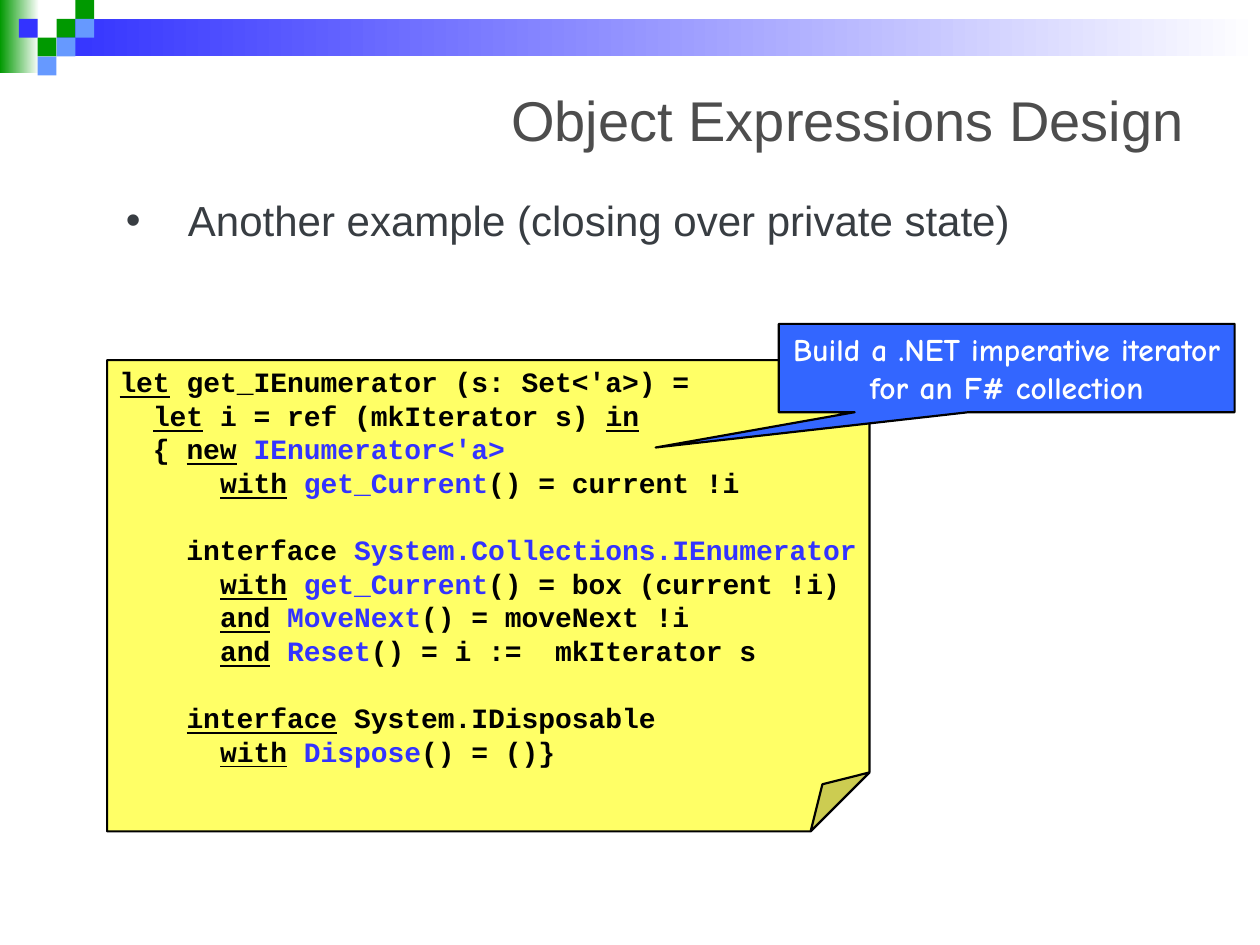
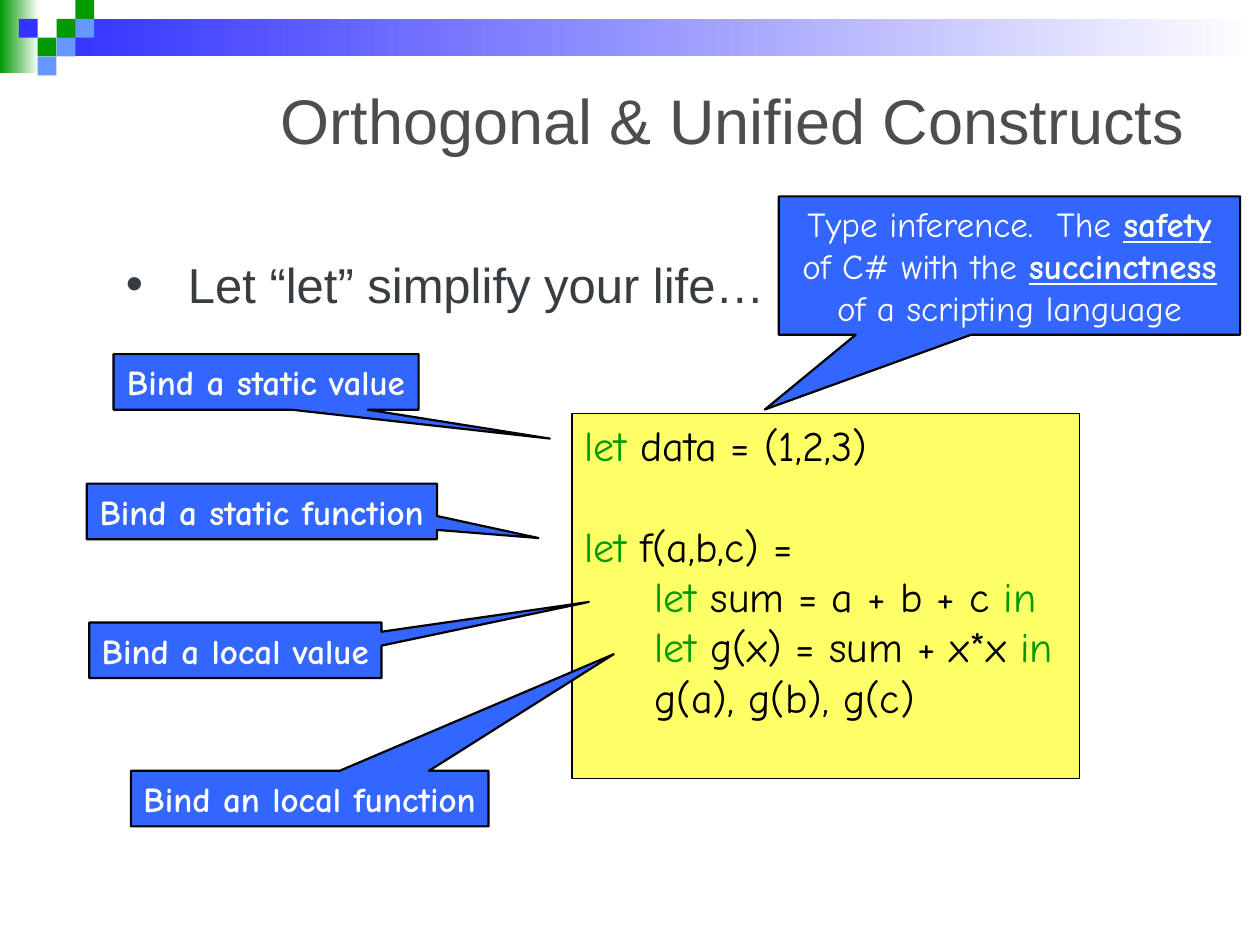
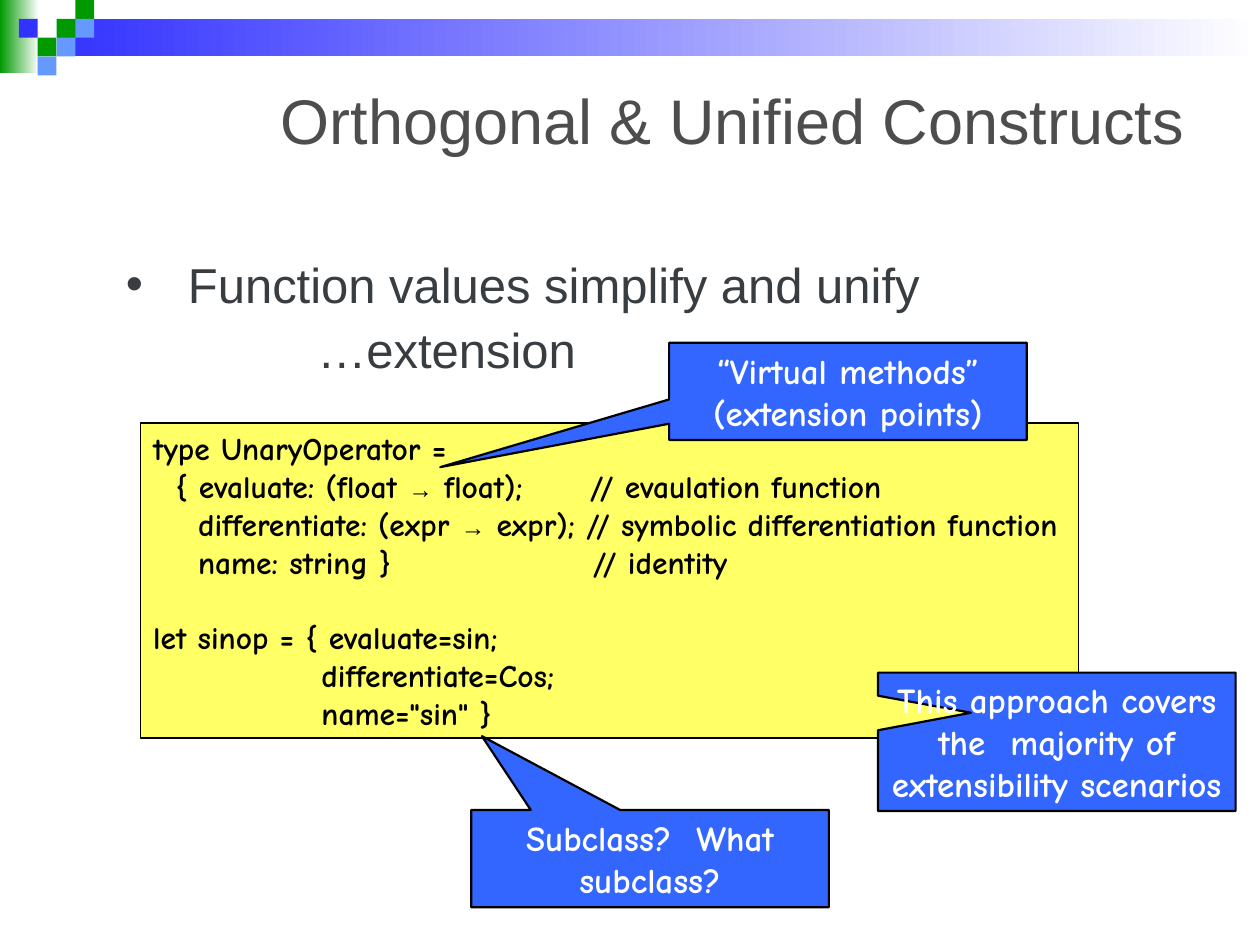
from dataclasses import dataclass

from lxml.etree import SubElement
from pptx import Presentation
from pptx.dml.color import RGBColor
from pptx.enum.shapes import MSO_SHAPE
from pptx.enum.text import MSO_ANCHOR, MSO_AUTO_SIZE, PP_ALIGN
from pptx.oxml.ns import qn
from pptx.util import Cm, Pt


@dataclass(frozen=True)
class Theme:
    title: str = "4D4D4D"
    body: str = "383D42"
    ink: str = "000000"
    white: str = "FFFFFF"
    green: str = "009900"
    blue: str = "3333FF"
    sky: str = "6699FF"
    call: str = "3366FF"
    note: str = "FFFF66"
    sans: str = "Arial"
    hand: str = "Comic Neue"
    mono: str = "Courier New"
    pitch: float = 1.2   # line height over type size
    edge: float = 1.25
    thin: float = 0.75


T = Theme()

# Band: bars are (box, colour), tiles are (column, row, colour)
TILE = 0.38
BARS = [((0, 0, 0.79, 1.47), T.green), ((1.14, 0.38, 24.26, 0.76), T.blue)]
TILES = [(3, 1, T.green), (4, 0, T.green), (4, 1, T.sky), (2, 2, T.green),
         (1, 1, T.blue), (3, 2, T.sky), (2, 3, T.sky)]

# In text, `...` takes the "key" look and ^...^ the "name" look.
SLIDES = [
    {
        "title": ("Object Expressions Design", 32),
        "body": {"top": 3.91, "size": 24, "line": 0.9,
                 "text": ["Another example (closing over private state)"]},
        "code": {
            "box": (2.16, 7.26, 15.37, 9.5), "shape": MSO_SHAPE.FOLDED_CORNER,
            "edge": T.edge, "anchor": MSO_ANCHOR.MIDDLE,
            "font": {"name": T.mono, "size": 16, "bold": True},
            "key": {"underline": True}, "name": {"color": T.blue},
            "text": """\
`let` get_IEnumerator (s: Set<'a>) =
  `let` i = ref (mkIterator s) `in`
  { `new` ^IEnumerator<'a>^
      `with` ^get_Current^() = current !i

    interface ^System.Collections.IEnumerator^
      `with` ^get_Current^() = box (current !i)
      `and` ^MoveNext^() = moveNext !i
      `and` ^Reset^() = i :=  mkIterator s

    `interface` System.IDisposable
      `with` ^Dispose^() = ()}"""},
        "calls": [
            ((15.7, 6.53, 9.19, 1.78), (-0.77, 0.9), 18, True,
             ["Build a .NET imperative iterator for an F# collection"])],
    },
    {
        "title": ("Orthogonal & Unified Constructs", 36),
        "body": {"top": 5.23, "size": 28, "line": 0.8,
                 "text": ["Let “let” simplify your life…"]},
        "code": {
            "box": (11.53, 8.33, 10.24, 7.37), "shape": MSO_SHAPE.RECTANGLE,
            "edge": T.thin, "anchor": MSO_ANCHOR.TOP,
            "font": {"name": T.hand, "size": 24, "bold": False},
            "key": {"color": T.green}, "name": {},
            "text": """\
`let` data = (1,2,3)

`let` f(a,b,c) =
     `let` sum = a + b + c `in`
     `let` g(x) = sum + x*x `in`
     g(a), g(b), g(c)"""},
        "calls": [
            ((2.29, 7.14, 6.15, 1.12), (0.93, 1.02), 20, True,
             ["Bind a static value"]),
            ((1.75, 9.75, 7.06, 1.12), (0.79, 0.48), 20, True,
             ["Bind a static function"]),
            ((1.8, 12.55, 5.89, 1.12), (1.21, -0.87), 20, True,
             ["Bind a local value"]),
            ((2.64, 15.54, 7.21, 1.12), (0.85, -2.6), 20, True,
             ["Bind an local function"]),
            ((15.7, 3.96, 9.3, 2.79), (-0.53, 1.04), 20, False,
             ["Type inference.  The `safety` of C# with the `succinctness`"
              " of a scripting language"])],
    },
    {
        "title": ("Orthogonal & Unified Constructs", 36),
        "body": {"top": 5.23, "size": 28, "line": 0.8,
                 "text": ["Function values simplify and unify", "…extension"]},
        "code": {
            "box": (2.84, 8.53, 18.9, 6.35), "shape": MSO_SHAPE.RECTANGLE,
            "edge": T.thin, "anchor": MSO_ANCHOR.TOP,
            "font": {"name": T.hand, "size": 18, "bold": True},
            "key": {}, "name": {"name": T.sans, "size": 14},
            "text": """\
type UnaryOperator =
  { evaluate: (float ^→^ float);      // evaulation function
    differentiate: (expr ^→^ expr); // symbolic differentiation function
    name: string }                  // identity

let sinop = { evaluate=sin;
               differentiate=Cos;
               name="sin" }"""},
        "calls": [
            ((17.7, 13.56, 7.21, 2.79), (-0.24, -0.21), 20, True,
             ["This approach covers the  majority of extensibility scenarios"]),
            ((13.49, 6.91, 7.21, 1.96), (-1.14, 0.78), 20, True,
             ["“Virtual methods”", "(extension points)"]),
            ((9.5, 16.33, 7.21, 1.96), (-0.47, -1.26), 20, True,
             ["Subclass?  What subclass?"])],
    },
]


def rgb(code):
    return RGBColor.from_string(code)


def dress(font, color=None, size=None, **look):
    if color:
        font.color.rgb = rgb(color)
    if size:
        font.size = Pt(size)
    for key, value in look.items():
        setattr(font, key, value)


def split(line):
    """Yield (text, look) for each marked or plain part of a line."""
    for i, part in enumerate(line.split("`")):
        if i % 2:
            yield part, "key"
            continue
        for j, bit in enumerate(part.split("^")):
            if bit:
                yield bit, "name" if j % 2 else "plain"


def write(para, line, font, key, name):
    dress(para.font, **font)
    looks = {"plain": {}, "key": key, "name": name}
    for text, look in split(line):
        run = para.add_run()
        run.text = text
        dress(run.font, **looks[look])


def paras(frame, count):
    return [frame.paragraphs[0]] + [frame.add_paragraph()
                                    for _ in range(count - 1)]


def block(slide, kind, box, fill, edge=None):
    shape = slide.shapes.add_shape(kind, *map(Cm, box))
    shape.shadow.inherit = False
    if fill:
        shape.fill.solid()
        shape.fill.fore_color.rgb = rgb(fill)
    if edge:
        shape.line.color.rgb = rgb(T.ink)
        shape.line.width = Pt(edge)
    else:
        shape.line.fill.background()
    return shape


def add_band(slide, layout):
    """Draw the band, then move it to the layout that all slides use."""
    parts = []
    for box, color in BARS:
        bar = block(slide, MSO_SHAPE.RECTANGLE, box, None)
        bar.fill.gradient()
        bar.fill.gradient_angle = 0
        for stop, tint, at in zip(bar.fill.gradient_stops,
                                  (color, T.white), (0, 1)):
            stop.color.rgb = rgb(tint)
            stop.position = at
        parts.append(bar)
    for col, row, color in TILES:
        box = (col * TILE, row * TILE, TILE, TILE)
        parts.append(block(slide, MSO_SHAPE.RECTANGLE, box, color))
    for num, part in enumerate(parts, 20):
        part.element.nvSpPr.cNvPr.set("id", str(num))
        layout.shapes.element.append(part.element)


def add_title(slide, text, size):
    title = slide.shapes.title
    title.left, title.top, title.width, title.height = map(
        Cm, (1.27, 1.27, 22.86, 2.26))
    frame = title.text_frame
    frame.text = text
    frame.auto_size = MSO_AUTO_SIZE.NONE
    frame.vertical_anchor = MSO_ANCHOR.MIDDLE
    para = frame.paragraphs[0]
    para.alignment = PP_ALIGN.RIGHT
    dress(para.font, T.title, size, name=T.sans)


def add_body(slide, top, size, line, text):
    """Bullet the first line and indent the ones that continue it."""
    box = slide.shapes.add_textbox(*map(Cm, (2.29, top, 21, 3)))
    box.text_frame.word_wrap = True
    for i, para in enumerate(paras(box.text_frame, len(text))):
        para.text = text[i]
        para.line_spacing = line
        props = para._p.get_or_add_pPr()
        if i:
            para.space_before = Pt(10.5)
            props.set("marL", str(Cm(3.86)))
        else:
            props.set("marL", str(Cm(1.25)))
            props.set("indent", str(-Cm(1.25)))
            tint = SubElement(props, qn("a:buClr"))
            SubElement(tint, qn("a:srgbClr"), val=T.body)
            SubElement(props, qn("a:buFont"), typeface=T.sans)
            SubElement(props, qn("a:buChar"), char="•")
        dress(para.font, T.body, size, name=T.sans)


def add_code(slide, box, shape, edge, anchor, font, key, name, text):
    note = block(slide, shape, box, T.note, edge)
    if shape == MSO_SHAPE.FOLDED_CORNER:
        geom = note.element.spPr.find(qn("a:prstGeom"))
        SubElement(geom.get_or_add_avLst(), qn("a:gd"),
                   name="adj", fmla="val 12500")
    frame = note.text_frame
    frame.word_wrap = True
    frame.margin_right = 0
    frame.vertical_anchor = anchor
    lines = text.split("\n")
    pitch = Pt(font["size"] * T.pitch)
    shown = [(line, i > 0 and not lines[i - 1])
             for i, line in enumerate(lines) if line]
    for para, (line, gap) in zip(paras(frame, len(shown)), shown):
        para.alignment = PP_ALIGN.LEFT
        para.line_spacing = pitch
        if gap:
            para.space_before = pitch
        write(para, line, {"color": T.ink, **font}, key, name)


def add_call(slide, box, tip, size, bold, text):
    call = block(slide, MSO_SHAPE.RECTANGULAR_CALLOUT, box, T.call, T.edge)
    call.adjustments[0], call.adjustments[1] = tip
    frame = call.text_frame
    frame.word_wrap = box[3] > 1.5   # one-line labels stay on one line
    frame.vertical_anchor = MSO_ANCHOR.MIDDLE
    font = {"color": T.white, "size": size, "name": T.hand, "bold": bold}
    for para, line in zip(paras(frame, len(text)), text):
        para.alignment = PP_ALIGN.CENTER
        write(para, line, font, {"bold": True, "underline": True}, {})


def main():
    prs = Presentation()
    prs.slide_width, prs.slide_height = Cm(25.4), Cm(19.05)
    layout = prs.slide_layouts[5]
    for i, data in enumerate(SLIDES):
        slide = prs.slides.add_slide(layout)
        if i == 0:
            add_band(slide, layout)
        add_title(slide, *data["title"])
        add_body(slide, **data["body"])
        add_code(slide, **data["code"])
        for call in data["calls"]:
            add_call(slide, *call)
    prs.save("out.pptx")


if __name__ == "__main__":
    main()
